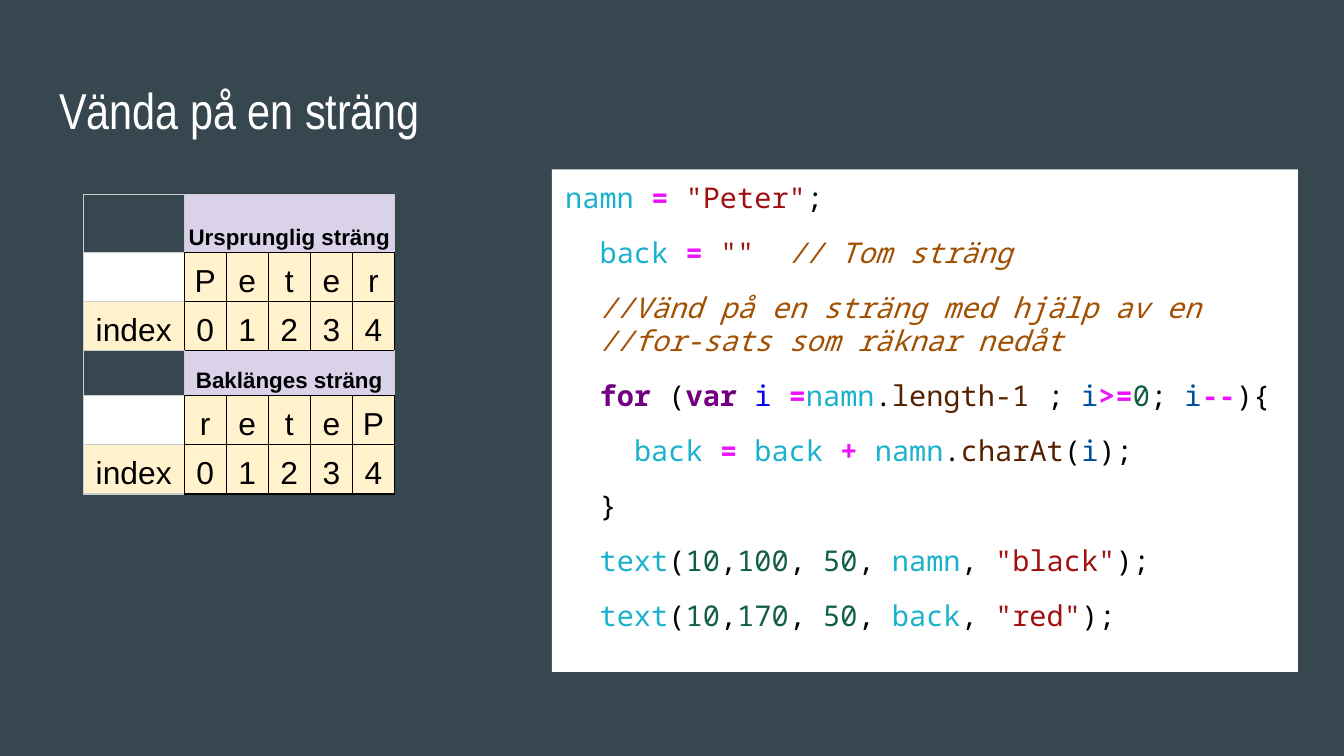
from lxml import etree
from pptx import Presentation
from pptx import util as u
from pptx.dml.color import RGBColor
from pptx.enum import shapes, text
from pptx.oxml.ns import qn

WIDTH = 10
HEIGHT = WIDTH * 9 / 16
UNIT = WIDTH / 100  # the grid has 100 columns, with square cells

SLATE, WHITE, BLACK = "37474F", "FFFFFF", "000000"
LILAC, CREAM, GREY = "D9D2E9", "FFF2CC", "CCCCCC"

# Token kinds in the code: colour, bold, italic
SYNTAX = {
    "name": ("1AB1CD", False, False),
    "op": ("EE11FF", True, False),
    "str": ("A01010", False, False),
    "note": ("A05000", False, True),
    "key": ("700080", True, False),
    "def": ("0000F0", False, False),
    "local": ("0050A0", False, False),
    "prop": ("572000", False, False),
    "num": ("106040", False, False),
    "": (BLACK, False, False),
}


def text_call(y, variable, colour):
    """Tokens of one text(...) statement."""
    return [("", "  "), ("name", "text"), ("", "("), ("num", "10"), ("", ","),
            ("num", y), ("", ", "), ("num", "50"), ("", ", "),
            ("name", variable), ("", ", "), ("str", f'"{colour}"'), ("", ");")]


CODE = [
    [("name", "namn "), ("op", "= "), ("str", '"Peter"'), ("", ";")],
    [("", "  "), ("name", "back "), ("op", "= "), ("str", '""  '),
     ("note", "// Tom sträng")],
    [("", "  "), ("note", "//Vänd på en sträng med hjälp av en \n"
                          "  //for-sats som räknar nedåt")],
    [("", "  "), ("key", "for"), ("", " ("), ("key", "var "), ("def", "i "),
     ("op", "="), ("name", "namn"), ("", "."), ("prop", "length-1"),
     ("", " ; "), ("local", "i"), ("op", ">="), ("num", "0"), ("", "; "),
     ("local", "i"), ("op", "--"), ("", "){")],
    [("", "    "), ("name", "back "), ("op", "= "), ("name", "back "),
     ("op", "+ "), ("name", "namn"), ("", "."), ("prop", "charAt"),
     ("", "("), ("local", "i"), ("", ");")],
    [("", "  }")],
    text_call("100", "namn", "black"),
    text_call("170", "back", "red"),
]


def rgb(hex_string):
    return RGBColor.from_string(hex_string)


def grid(*cells):
    return [u.Inches(n * UNIT) for n in cells]


def add_text(p, words, size, font, color=BLACK, bold=False, italic=False):
    for i, part in enumerate(words.split("\n")):
        if i:
            p.add_line_break()
        r = p.add_run()
        r.text = part
        r.font.size, r.font.name = u.Pt(size), font
        r.font.bold, r.font.italic = bold, italic
        r.font.color.rgb = rgb(color)


def prepare_frame(tf):
    tf.word_wrap = True
    tf.vertical_anchor = text.MSO_ANCHOR.TOP
    tf.margin_left = tf.margin_right = tf.margin_top = tf.margin_bottom = u.Inches(0.1)


def add_title(slide, box):
    tf = slide.shapes.add_textbox(*grid(*box)).text_frame
    prepare_frame(tf)
    add_text(tf.paragraphs[0], "Vända på en sträng", 27, "Arial Narrow", WHITE)


def add_code(slide, box):
    sp = slide.shapes.add_shape(shapes.MSO_SHAPE.RECTANGLE, *grid(*box))
    sp.shadow.inherit = False
    sp.fill.solid()
    sp.fill.fore_color.rgb = rgb(WHITE)
    sp.line.fill.background()
    tf = sp.text_frame
    prepare_frame(tf)
    for i, tokens in enumerate(CODE):
        p = tf.add_paragraph() if i else tf.paragraphs[0]
        p.alignment = text.PP_ALIGN.LEFT
        p.line_spacing = 0.95
        p.space_before = u.Pt(12 if i else 0)
        for kind, words in tokens:
            add_text(p, words, 15.3, "Noto Sans Mono", *SYNTAX[kind])
    p.space_after = u.Pt(12)


def set_borders(cell, colors):
    """Colour the left, right, top and bottom borders, in that order."""
    tc_pr = cell._tc.get_or_add_tcPr()
    for i, (side, color) in enumerate(zip("LRTB", colors)):
        ln = etree.Element(qn(f"a:ln{side}"), w=str(u.Pt(0.75)))
        fill = etree.SubElement(ln, qn("a:solidFill"))
        etree.SubElement(fill, qn("a:srgbClr"), val=color)
        tc_pr.insert(i, ln)


def fill_cell(cell, words, size, fill, borders, bold=False):
    if fill:
        cell.fill.solid()
        cell.fill.fore_color.rgb = rgb(fill)
    else:
        cell.fill.background()
    set_borders(cell, borders)
    p = cell.text_frame.paragraphs[0]
    if not words:  # keeps an empty cell from stretching its row
        etree.SubElement(p._p, qn("a:endParaRPr"), sz="1400")
        return
    cell.margin_left = cell.margin_right = u.Inches(0.03)
    cell.margin_top = cell.margin_bottom = u.Inches(0.02)
    cell.vertical_anchor = text.MSO_ANCHOR.BOTTOM
    p.alignment = text.PP_ALIGN.CENTER
    p.line_spacing = 1.15
    add_text(p, words, size, "Arial", BLACK, bold)


def add_string_block(table, top, heading, word):
    """Three rows: a heading, the letters and their indexes."""
    last = len(word)
    table.cell(top, 1).merge(table.cell(top, last))
    upper = BLACK if top else GREY
    fill_cell(table.cell(top, 0), "", 12, None, [GREY] * 4)
    for col in range(1, last + 1):
        fill_cell(table.cell(top, col), heading if col == 1 else "", 12, LILAC,
                  [GREY, GREY, upper, BLACK], bold=True)
    indexes = [str(i) for i in range(last)]
    rows = [("", WHITE, word), ("index", CREAM, indexes)]
    for row, (label, fill, values) in enumerate(rows, top + 1):
        fill_cell(table.cell(row, 0), label, 17, fill, [GREY, BLACK, GREY, GREY])
        for col, value in enumerate(values, 1):
            fill_cell(table.cell(row, col), value, 17, CREAM, [BLACK] * 4)


def add_index_table(slide, box):
    widths = [7.5] + [3.13] * 5
    heights = [4.3, 3.3, 3.3, 2.4, 3.3, 3.3]
    frame = slide.shapes.add_table(len(heights), len(widths), *grid(*box))
    table = frame.table
    table.first_row = table.horz_banding = False
    for column, width in zip(table.columns, grid(*widths)):
        column.width = width
    for row, height in zip(table.rows, grid(*heights)):
        row.height = height
    frame.width, frame.height = grid(*box[2:])
    add_string_block(table, 0, "Ursprunglig sträng", "Peter")
    add_string_block(table, 3, "Baklänges sträng", "reteP")


def main():
    prs = Presentation()
    prs.slide_width, prs.slide_height = u.Inches(WIDTH), u.Inches(HEIGHT)
    s = prs.slides.add_slide(prs.slide_layouts[6])
    s.background.fill.solid()
    s.background.fill.fore_color.rgb = rgb(SLATE)
    add_title(s, (3.41, 4.9, 93.2, 6.3))
    add_code(s, (41.07, 12.6, 55.5, 37.4))
    add_index_table(s, (6.2, 14.5, 32.8, 32.8))
    prs.save("out.pptx")


if __name__ == "__main__":
    main()
